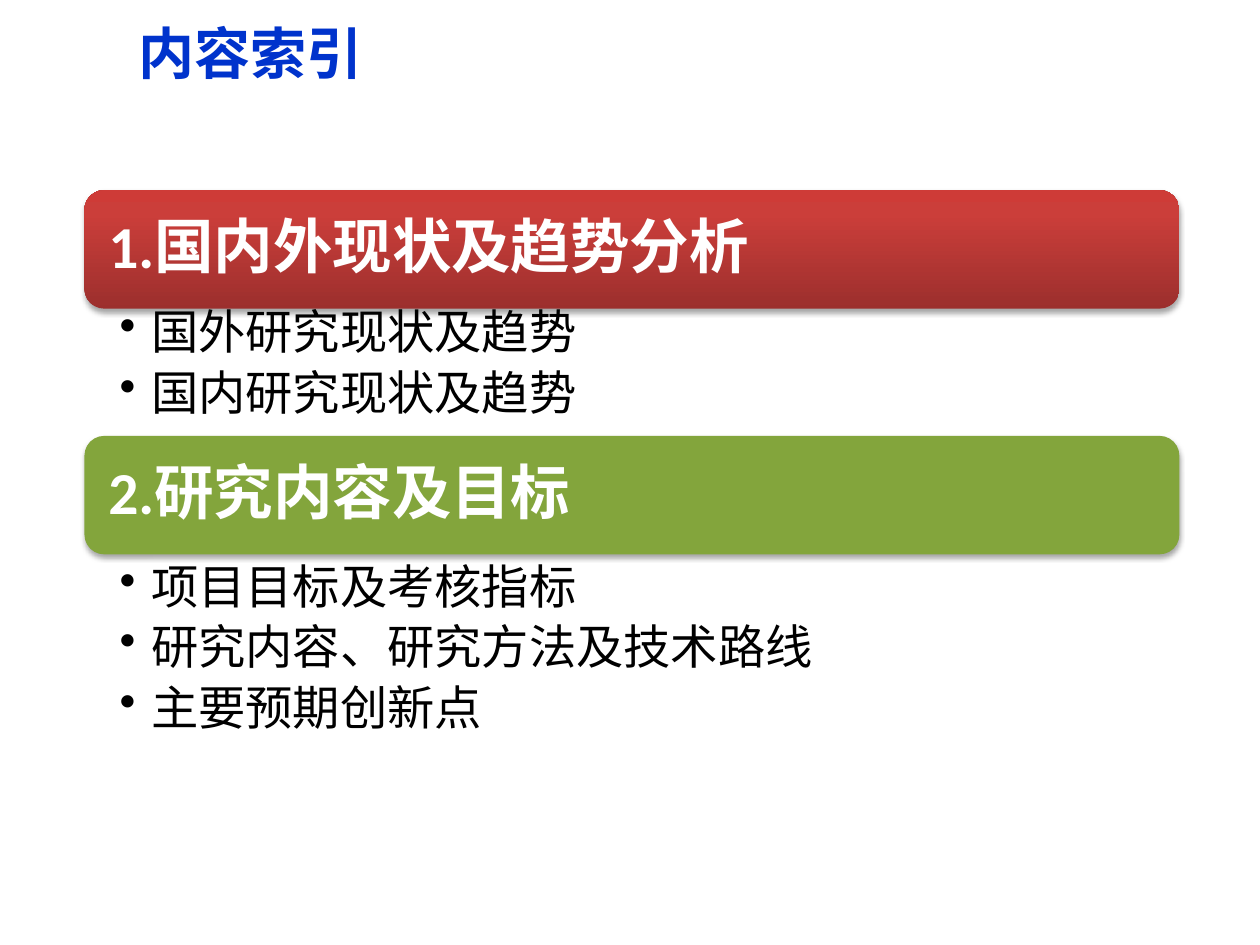
from dataclasses import dataclass

from lxml.etree import SubElement
from pptx import Presentation
from pptx.dml.color import RGBColor
from pptx.enum.shapes import MSO_SHAPE
from pptx.enum.text import MSO_ANCHOR
from pptx.oxml.ns import qn
from pptx.util import Inches, Pt

BLUE = RGBColor(0x00, 0x33, 0xCC)
DARK_RED = RGBColor(0x9C, 0x2F, 0x2D)
RED = RGBColor(0xCB, 0x3E, 0x3A)
BRIGHT_RED = RGBColor(0xCE, 0x3B, 0x37)
GREEN = RGBColor(0x83, 0xA5, 0x3C)
WHITE = RGBColor(0xFF, 0xFF, 0xFF)
BLACK = RGBColor(0x00, 0x00, 0x00)

LATIN_FONT = "Calibri"
CHINESE_FONT = "Noto Sans CJK SC"
RED_STOPS = [(0, DARK_RED), (80, RED), (100, BRIGHT_RED)]
GREEN_STOPS = [(0, GREEN)]


@dataclass
class Box:
    left: float
    top: float
    width: float
    height: float

    def lengths(self):
        return [Inches(value) for value in (self.left, self.top, self.width, self.height)]

    def inset(self, margin):
        return Box(self.left + margin, self.top + margin,
                   self.width - 2 * margin, self.height - 2 * margin)


BANNER_LEFT, BANNER_WIDTH, BANNER_HEIGHT = 0.67, 8.69, 0.94
SECTIONS = [
    (1.51, RED_STOPS, "1.国内外现状及趋势分析",
     Box(BANNER_LEFT, 2.4, BANNER_WIDTH, 1.08),
     ["国外研究现状及趋势", "国内研究现状及趋势"]),
    (3.46, GREEN_STOPS, "2.研究内容及目标",
     Box(BANNER_LEFT, 4.42, BANNER_WIDTH, 1.62),
     ["项目目标及考核指标", "研究内容、研究方法及技术路线", "主要预期创新点"]),
]


def add_frame(page, box, margins, anchor):
    frame = page.shapes.add_textbox(*box.lengths()).text_frame
    frame.word_wrap = True
    frame.vertical_anchor = anchor
    frame.margin_left, frame.margin_top, frame.margin_right, frame.margin_bottom = (
        Inches(margin) for margin in margins)
    return frame


def add_span(para, text, size, color, bold=False, font=LATIN_FONT):
    span = para.add_run()
    span.text = text
    span.font.name = font
    span.font.size = Pt(size)
    span.font.bold = bold
    span.font.color.rgb = color
    SubElement(span.font._element, qn("a:ea"), typeface=CHINESE_FONT)


def set_spacing(para, after_percent):
    para.line_spacing = 0.9
    properties = para._p.get_or_add_pPr()
    after = SubElement(properties, qn("a:spcAft"))
    SubElement(after, qn("a:spcPct"), val=str(after_percent * 1000))
    return properties


def set_bullet(properties):
    properties.set("lvl", "1")
    properties.set("marL", str(Inches(0.25)))
    properties.set("indent", str(-Inches(0.25)))
    SubElement(properties, qn("a:buChar"), char="•")


def set_gradient(shape, stops):
    shape.fill.gradient()
    shape.fill.gradient_angle = 90
    stop_list = shape._element.spPr.find(qn("a:gradFill")).find(qn("a:gsLst"))
    for stop in list(stop_list):
        stop_list.remove(stop)
    for position, color in stops:
        stop = SubElement(stop_list, qn("a:gs"), pos=str(position * 1000))
        SubElement(stop, qn("a:srgbClr"), val=str(color))


def set_shadow(shape):
    shape.shadow.inherit = False
    effects = shape._element.spPr.find(qn("a:effectLst"))
    shadow = SubElement(effects, qn("a:outerShdw"), blurRad=str(Pt(3.1)),
                        dist=str(Pt(1.8)), dir="5400000", rotWithShape="0")
    color = SubElement(shadow, qn("a:srgbClr"), val=str(BLACK))
    SubElement(color, qn("a:alpha"), val="35000")


def add_title(page, box, text):
    frame = add_frame(page, box, (0.1, 0.05, 0.1, 0.05), MSO_ANCHOR.MIDDLE)
    add_span(frame.paragraphs[0], text, 32, BLUE, True, CHINESE_FONT)


def add_banner(page, box, stops, heading):
    banner = page.shapes.add_shape(MSO_SHAPE.ROUNDED_RECTANGLE, *box.lengths())
    banner.line.fill.background()
    if len(stops) > 1:
        set_gradient(banner, stops)
    else:
        banner.fill.solid()
        banner.fill.fore_color.rgb = stops[0][1]
    set_shadow(banner)
    frame = add_frame(page, box.inset(0.05), (0.14,) * 4, MSO_ANCHOR.MIDDLE)
    para = frame.paragraphs[0]
    set_spacing(para, 35)
    add_span(para, heading, 34, WHITE, True)


def add_topics(page, box, topics):
    frame = add_frame(page, box, (0.28, 0.05, 0.26, 0.05), MSO_ANCHOR.TOP)
    for index, topic in enumerate(topics):
        para = frame.add_paragraph() if index else frame.paragraphs[0]
        set_bullet(set_spacing(para, 20))
        add_span(para, topic, 27, BLACK)


def main():
    deck = Presentation()
    deck.slide_width, deck.slide_height = Inches(10), Inches(7.5)
    page = deck.slides.add_slide(deck.slide_layouts[6])
    add_title(page, Box(1, -0.02, 9, 0.87), "内容索引")
    for top, stops, heading, topic_box, topics in SECTIONS:
        add_banner(page, Box(BANNER_LEFT, top, BANNER_WIDTH, BANNER_HEIGHT), stops, heading)
        add_topics(page, topic_box, topics)
    deck.save("out.pptx")


if __name__ == "__main__":
    main()
